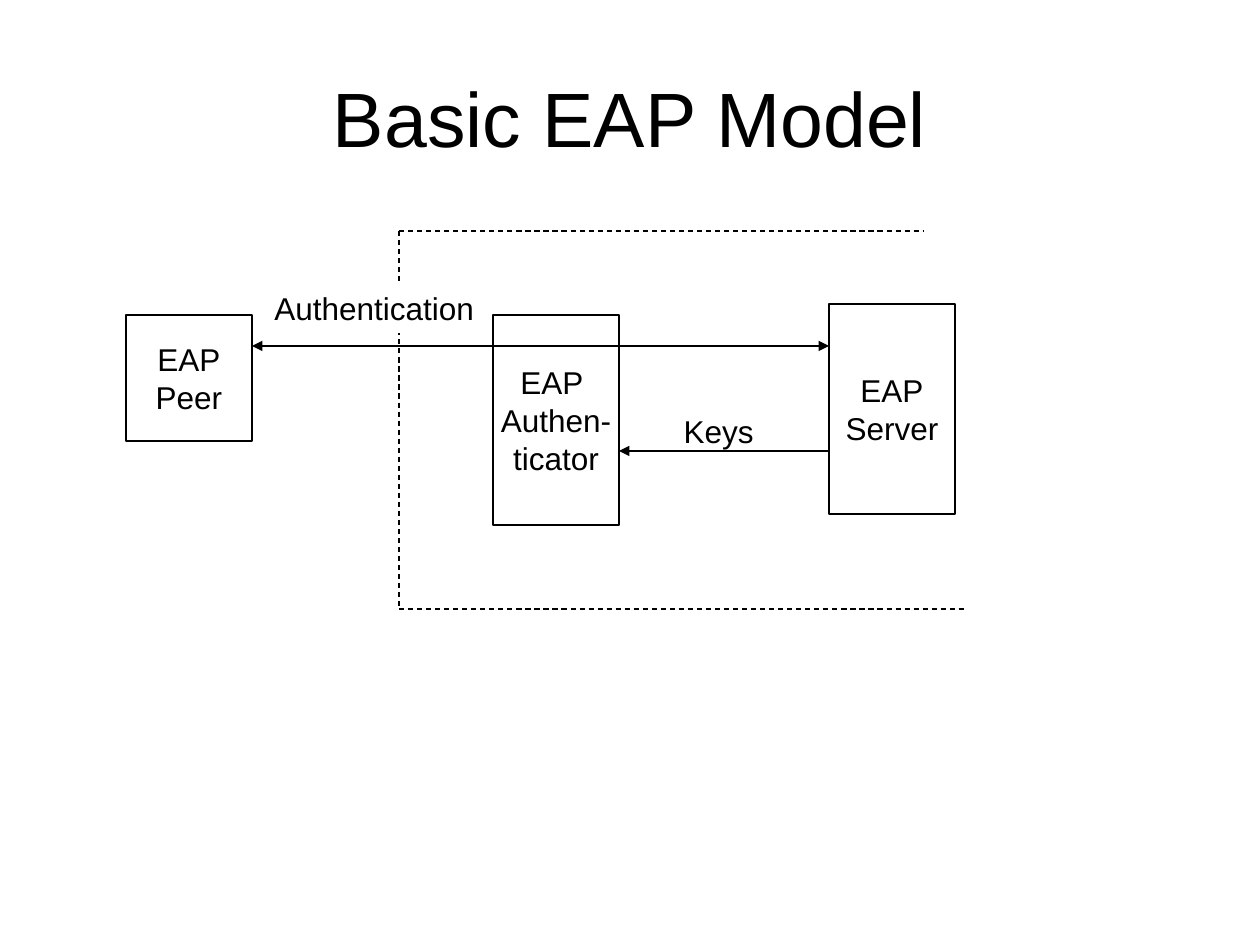
from typing import NamedTuple

from lxml.etree import SubElement
from pptx import Presentation
from pptx.dml.color import RGBColor
from pptx.enum.dml import MSO_LINE_DASH_STYLE as Dash
from pptx.enum.shapes import MSO_CONNECTOR as Connector, MSO_SHAPE as Preset
from pptx.enum.text import MSO_ANCHOR as Anchor, PP_ALIGN as Align
from pptx.oxml.ns import qn
from pptx.util import Emu, Pt

EMU_PER_PX = 914400 / 126
BLACK, WHITE = "000000", "FFFFFF"
LINE_WIDTH = Pt(0.75)


class Box(NamedTuple):
    left: int
    top: int
    width: int
    height: int


class Party(NamedTuple):
    label: str
    box: Box


class Link(NamedTuple):
    start: tuple[int, int]
    end: tuple[int, int]
    dashed: bool = False
    arrows: tuple[str, ...] = ()


def px(length: int) -> Emu:
    return Emu(round(length * EMU_PER_PX))


def color(value: str) -> RGBColor:
    return RGBColor.from_string(value)


def write(shape, text: str, *, size: int = 18, align=Align.LEFT,
          anchor=Anchor.TOP, wrap: bool = False) -> None:
    frame = shape.text_frame
    frame.text = text
    frame.word_wrap = wrap
    frame.vertical_anchor = anchor
    for paragraph in frame.paragraphs:
        paragraph.alignment = align
        paragraph.font.size = Pt(size)
        paragraph.font.name = "Arial"
        paragraph.font.color.rgb = color(BLACK)


def add_text(slide, box: Box, text: str, **text_format) -> None:
    write(slide.shapes.add_textbox(*map(px, box)), text, **text_format)


def add_rectangle(slide, box: Box, text: str, *, outlined: bool = True,
                  **text_format) -> None:
    rectangle = slide.shapes.add_shape(Preset.RECTANGLE, *map(px, box))
    rectangle.shadow.inherit = False
    rectangle.fill.solid()
    rectangle.fill.fore_color.rgb = color(WHITE)
    if outlined:
        rectangle.line.color.rgb = color(BLACK)
        rectangle.line.width = LINE_WIDTH
    else:
        rectangle.line.fill.background()
    write(rectangle, text, **text_format)


def add_link(slide, link: Link) -> None:
    connector = slide.shapes.add_connector(
        Connector.STRAIGHT, *map(px, link.start + link.end))
    line = connector.line
    line.color.rgb = color(BLACK)
    line.width = LINE_WIDTH
    if link.dashed:
        line.dash_style = Dash.DASH
    for arrow_end in link.arrows:
        SubElement(line._get_or_add_ln(), qn(f"a:{arrow_end}"), type="triangle")
    SubElement(connector._element.spPr, qn("a:effectLst"))


PEER = Box(126, 315, 126, 126)
AUTHENTICATOR = Box(493, 315, 126, 210)
SERVER = Box(829, 304, 126, 210)
PARTIES = [
    Party("EAP\nPeer", PEER),
    Party("EAP \nAuthen-\nticator", AUTHENTICATOR),
    Party("EAP\nServer", SERVER),
]

DOMAIN_LEFT, DOMAIN_TOP, DOMAIN_BOTTOM = 399, 231, 609
AUTHENTICATION_Y, KEYS_Y = 346, 451
LINKS = [
    Link((DOMAIN_LEFT, DOMAIN_TOP), (DOMAIN_LEFT, DOMAIN_BOTTOM), dashed=True),
    Link((DOMAIN_LEFT, DOMAIN_BOTTOM), (966, DOMAIN_BOTTOM), dashed=True),
    Link((DOMAIN_LEFT, DOMAIN_TOP), (924, DOMAIN_TOP), dashed=True),
    Link((PEER.left + PEER.width, AUTHENTICATION_Y),
         (SERVER.left, AUTHENTICATION_Y), arrows=("headEnd", "tailEnd")),
    Link((SERVER.left, KEYS_Y),
         (AUTHENTICATOR.left + AUTHENTICATOR.width, KEYS_Y),
         arrows=("tailEnd",)),
]


def main() -> None:
    deck = Presentation()
    deck.slide_width, deck.slide_height = px(1260), px(945)
    slide = deck.slides.add_slide(deck.slide_layouts[6])

    add_text(slide, Box(63, 38, 1134, 157), "Basic EAP Model", size=44,
             align=Align.CENTER, anchor=Anchor.MIDDLE, wrap=True)
    for party in PARTIES:
        add_rectangle(slide, party.box, party.label,
                      align=Align.CENTER, anchor=Anchor.MIDDLE)
    for link in LINKS:
        add_link(slide, link)
    add_rectangle(slide, Box(262, 283, 224, 50), "Authentication",
                  outlined=False)
    add_text(slide, Box(610, 406, 156, 88), "Keys",
             align=Align.RIGHT, wrap=True)

    deck.save("out.pptx")


if __name__ == "__main__":
    main()
